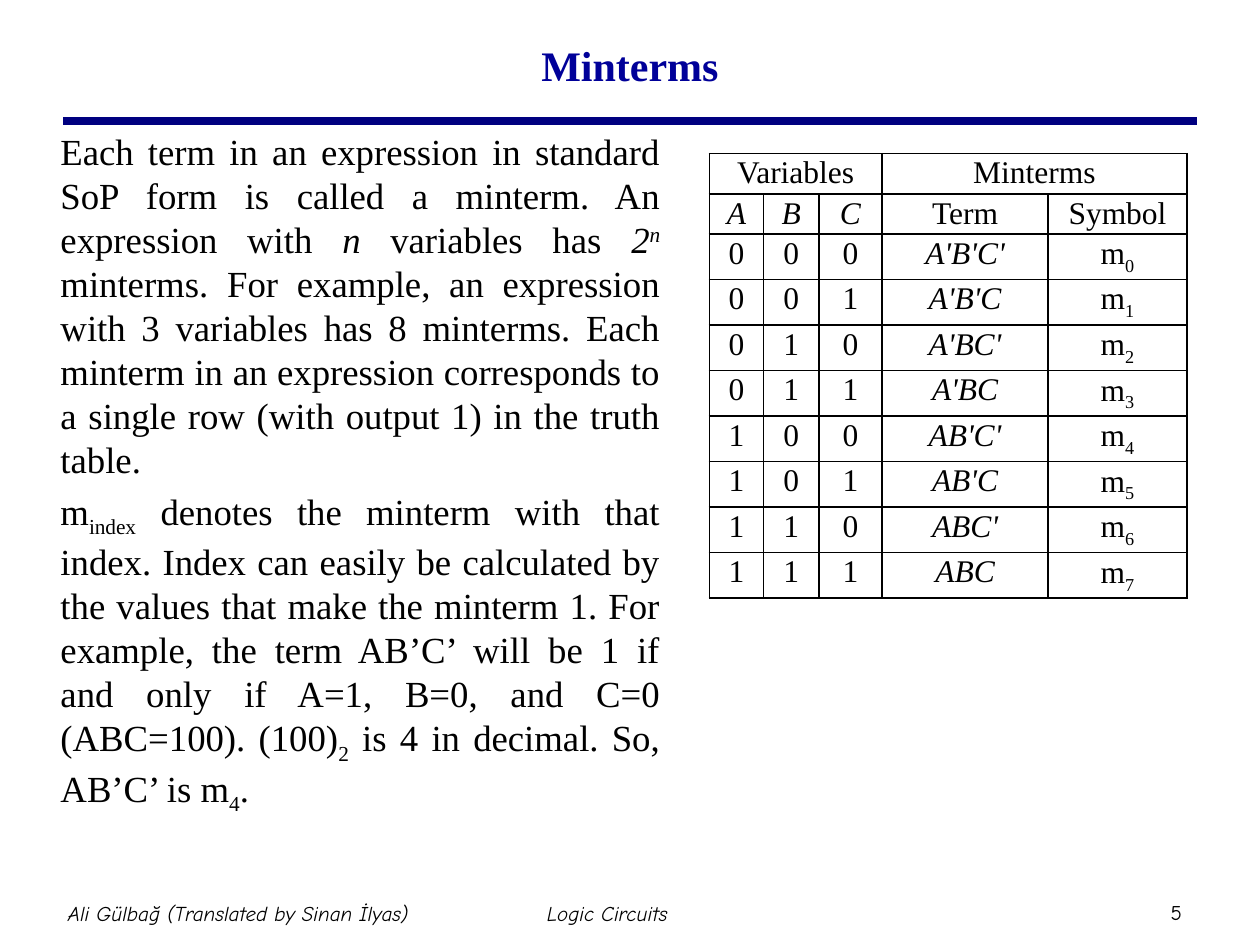
from lxml import etree
from pptx import Presentation
from pptx.dml.color import RGBColor
from pptx.enum.shapes import MSO_CONNECTOR
from pptx.enum.text import MSO_ANCHOR, MSO_AUTO_SIZE, PP_ALIGN
from pptx.oxml.ns import qn
from pptx.util import Inches, Pt

BLACK = RGBColor(0x00, 0x00, 0x00)
TITLE_BLUE = RGBColor(0x00, 0x00, 0x99)
RULE_NAVY = RGBColor(0x00, 0x00, 0x80)
SERIF, HAND = "Times New Roman", "Comic Neue"
SUB, SUPER = -25000, 30000


def write(paragraph, text, size=18, font=SERIF, color=BLACK, bold=False,
          italic=False, baseline=0, align=None):
    run = paragraph.add_run()
    run.text = text
    run.font.size = Pt(size)
    run.font.name = font
    run.font.color.rgb = color
    run.font.bold = bold
    run.font.italic = italic
    if baseline:
        run.font._element.set("baseline", str(baseline))
    if align is not None:
        paragraph.alignment = align


def border(cell):
    properties = cell._tc.get_or_add_tcPr()
    for side in ("a:lnL", "a:lnR", "a:lnT", "a:lnB"):
        line = etree.SubElement(properties, qn(side), w=str(Pt(1)))
        solid = etree.SubElement(line, qn("a:solidFill"))
        etree.SubElement(solid, qn("a:srgbClr"), val=str(BLACK))


deck = Presentation()
deck.slide_width, deck.slide_height = Inches(10), Inches(7.5)
slide = deck.slides.add_slide(deck.slide_layouts[1])

# Rule under the title
rule = slide.shapes.add_connector(
    MSO_CONNECTOR.STRAIGHT, Inches(0.5), Inches(0.96), Inches(9.5), Inches(0.96))
rule.line.color.rgb = RULE_NAVY
rule.line.width = Pt(4.5)
etree.SubElement(rule._element.spPr, qn("a:effectLst"))

# Title
title = slide.shapes.title
title.left, title.top = Inches(0.75), Inches(0.08)
title.width, title.height = Inches(8.5), Inches(0.86)
title.text_frame.auto_size = MSO_AUTO_SIZE.NONE
title.text_frame.vertical_anchor = MSO_ANCHOR.MIDDLE
write(title.text_frame.paragraphs[0], "Minterms", size=24, color=TITLE_BLUE,
      bold=True, align=PP_ALIGN.CENTER)

# Explanation: each paragraph is a list of (text, format) pieces
explanation = [
    [("Each term in an expression in standard SoP form is called a minterm. "
      "An expression with ", {}),
     ("n", {"italic": True}),
     (" variables has ", {}),
     ("2", {"italic": True}),
     ("n ", {"italic": True, "baseline": SUPER}),
     ("minterms. For example, an expression with 3 variables has 8 minterms. "
      "Each minterm in an expression corresponds to a single row "
      "(with output 1) in the truth table.", {})],
    [("m", {}),
     ("index", {"baseline": SUB}),
     (" denotes the minterm with that index. Index can easily be calculated "
      "by the values that make the minterm 1. For example, the term AB’C’ "
      "will be 1 if and only if A=1, B=0, and C=0 (ABC=100). (100)", {}),
     ("2", {"baseline": SUB}),
     (" is 4 in decimal. So, AB’C’ is m", {}),
     ("4", {"baseline": SUB}),
     (".", {})],
]
body = slide.placeholders[1]
body.left, body.top = Inches(0.38), Inches(0.97)
body.width, body.height = Inches(4.96), Inches(5.59)
body.text_frame.auto_size = MSO_AUTO_SIZE.NONE
for number, pieces in enumerate(explanation):
    paragraph = (body.text_frame.add_paragraph() if number
                 else body.text_frame.paragraphs[0])
    paragraph.space_before = Pt(4.2)
    properties = paragraph._p.get_or_add_pPr()
    properties.set("marL", "0")
    properties.set("indent", "0")
    etree.SubElement(properties, qn("a:buNone"))
    for text, look in pieces:
        write(paragraph, text, size=21, align=PP_ALIGN.JUSTIFY, **look)

# Footer: author, course, page number
footers = [
    ("Ali Gülbağ (Translated by Sinan İlyas)", 0.1, 7, 3.58, 0.5, True),
    ("Logic Circuits", 3.03, 7, 3.58, 0.5, True),
    ("5", 9.1, 7.09, 0.47, 0.3, False),
]
for text, left, top, width, height, italic in footers:
    footer = slide.shapes.add_textbox(
        Inches(left), Inches(top), Inches(width), Inches(height)).text_frame
    footer.word_wrap = True
    footer.vertical_anchor = MSO_ANCHOR.MIDDLE
    footer.margin_left = footer.margin_right = Inches(0.05)
    footer.margin_top = footer.margin_bottom = Inches(0.05)
    write(footer.paragraphs[0], text, size=12, font=HAND, italic=italic,
          align=PP_ALIGN.CENTER)

# Minterm table: two heading rows, then one row per combination of A, B, C
VARIABLES = "ABC"
rows = [["Variables", "", "", "Minterms", ""], [*VARIABLES, "Term", "Symbol"]]
for index in range(8):
    bits = f"{index:03b}"
    term = "".join(name if bit == "1" else name + "'"
                   for name, bit in zip(VARIABLES, bits))
    rows.append([*bits, term, "m"])

column_widths = [0.43, 0.44, 0.5, 1.32, 1.1]
table_frame = slide.shapes.add_table(
    len(rows), len(column_widths), Inches(5.63), Inches(1.22),
    Inches(sum(column_widths)), Inches(0.25 * len(rows)))
table_frame.height = Inches(3.45)
minterms = table_frame.table
minterms.first_row = minterms.horz_banding = False
for column, width in zip(minterms.columns, column_widths):
    column.width = Inches(width)
minterms.cell(0, 0).merge(minterms.cell(0, 2))
minterms.cell(0, 3).merge(minterms.cell(0, 4))

for r, row in enumerate(rows):
    for c, text in enumerate(row):
        cell = minterms.cell(r, c)
        cell.margin_left = cell.margin_right = Inches(0.05)
        cell.margin_top = cell.margin_bottom = 0
        border(cell)
        cell.fill.background()
        if not text:
            continue
        paragraph = cell.text_frame.paragraphs[0]
        paragraph.line_spacing = 1.06
        paragraph.space_before = Pt(6)
        write(paragraph, text, italic=text[0] in VARIABLES, align=PP_ALIGN.CENTER)
        if text == "m":
            write(paragraph, str(r - 2), baseline=SUB)

deck.save("out.pptx")
